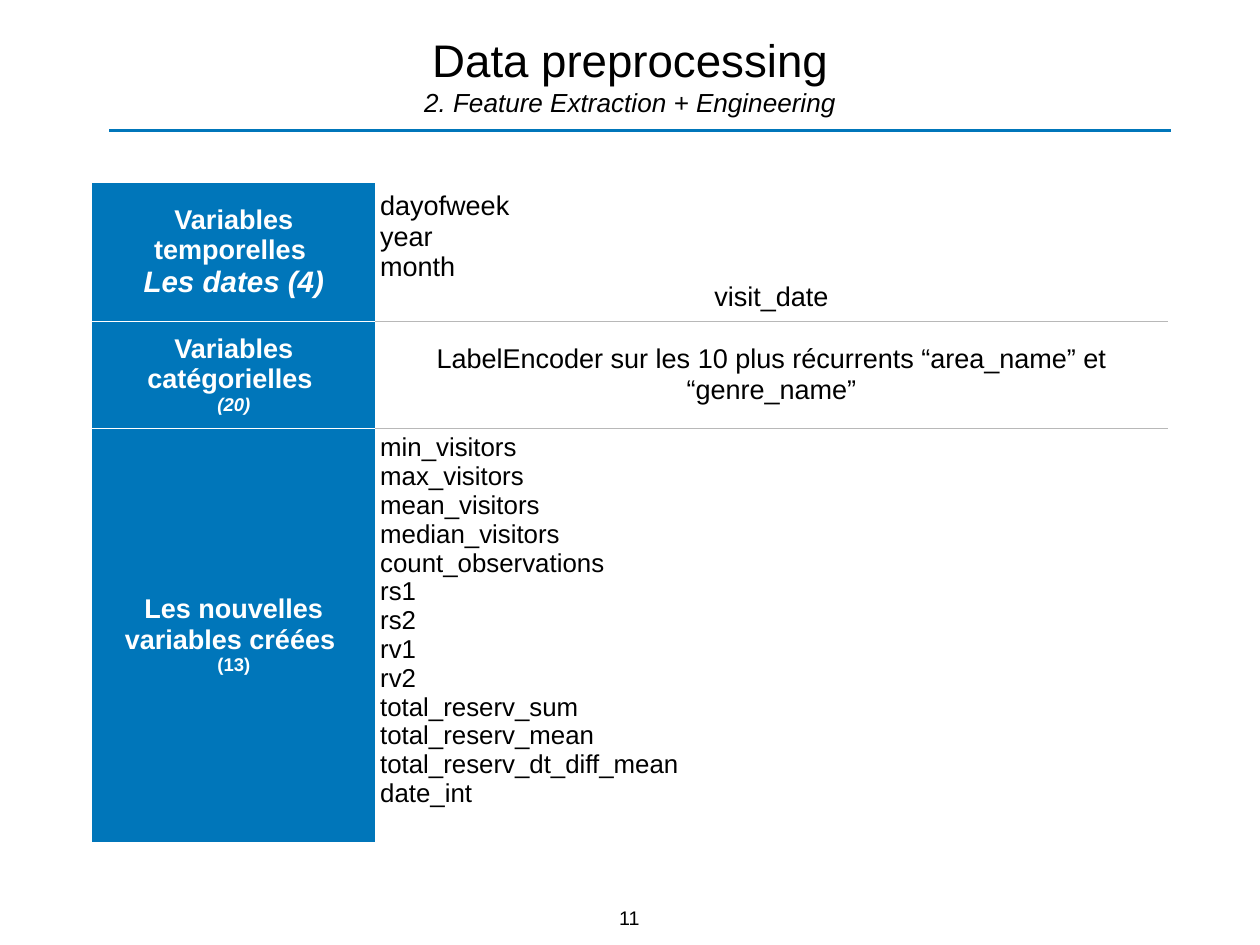
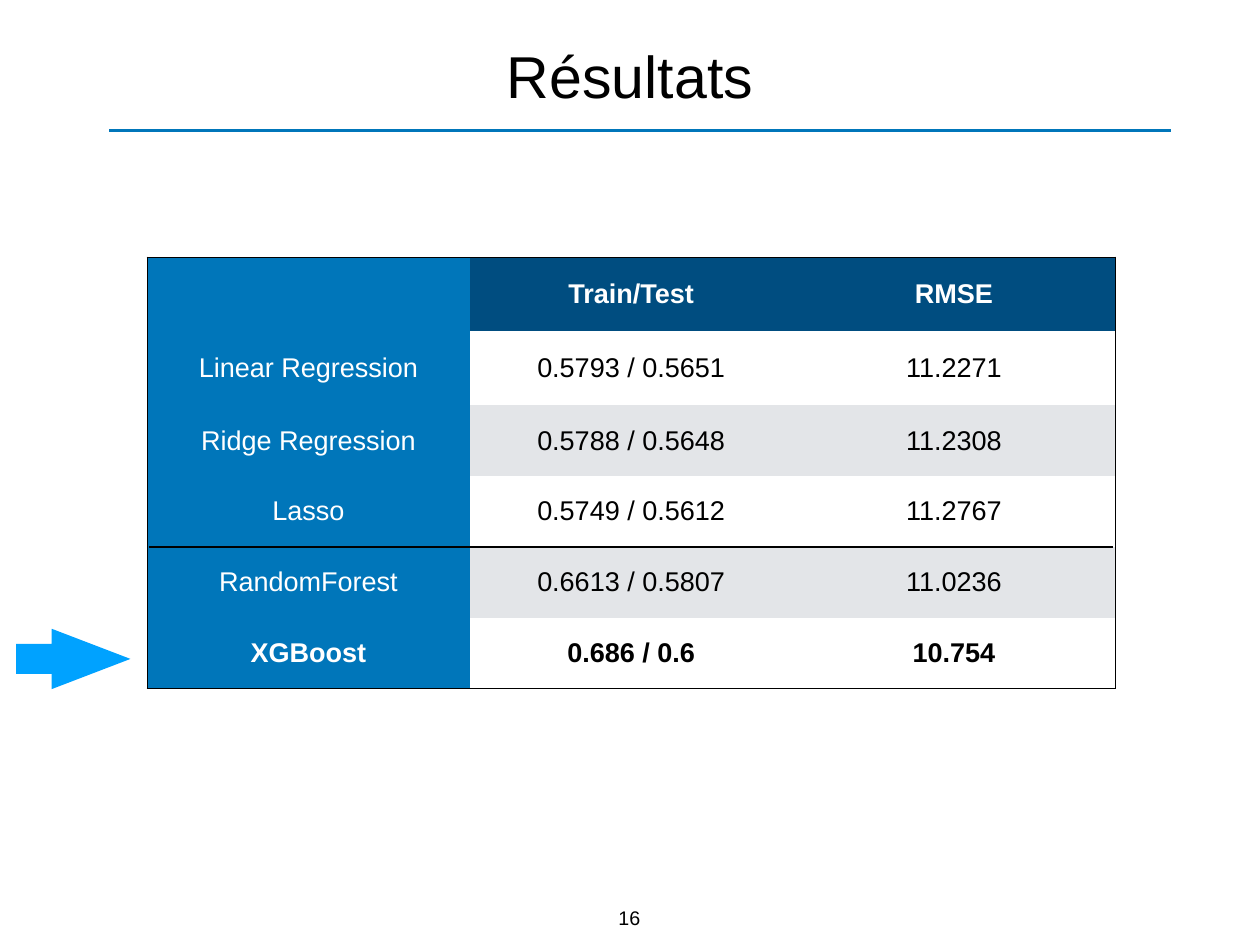
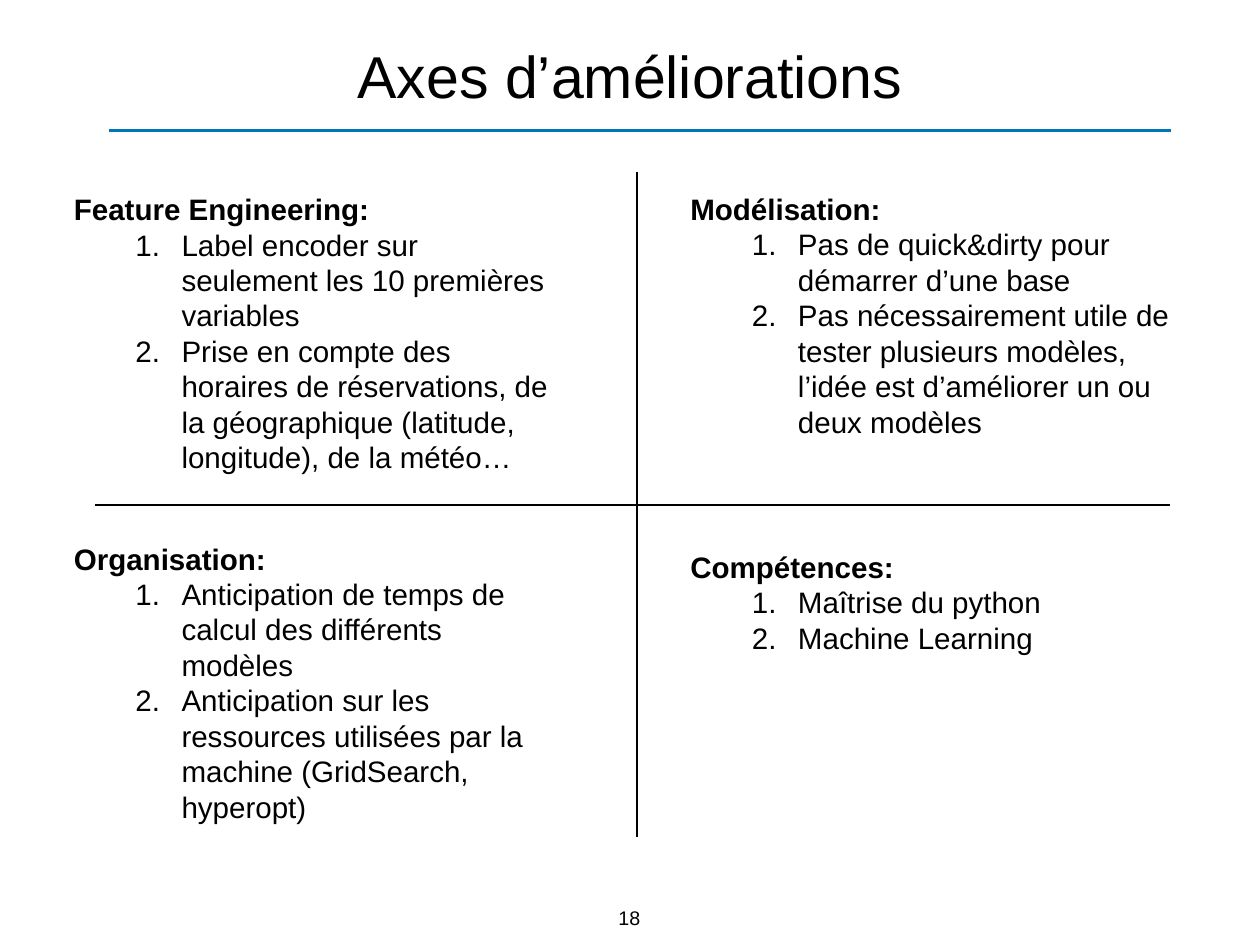
from dataclasses import dataclass

from lxml import etree
from pptx import Presentation
from pptx.dml.color import RGBColor
from pptx.enum.shapes import MSO_CONNECTOR, MSO_SHAPE
from pptx.enum.text import MSO_ANCHOR, MSO_AUTO_SIZE, PP_ALIGN
from pptx.oxml.ns import qn
from pptx.util import Pt

BLACK = RGBColor(0x00, 0x00, 0x00)
WHITE = RGBColor(0xFF, 0xFF, 0xFF)
BLUE = RGBColor(0x00, 0x76, 0xBA)
NAVY = RGBColor(0x00, 0x4D, 0x80)
SKY = RGBColor(0x00, 0xA2, 0xFF)
BAND = RGBColor(0xE3, 0xE5, 0xE8)
RULE = RGBColor(0xB8, 0xB8, 0xB8)

LEFT, CENTER = PP_ALIGN.LEFT, PP_ALIGN.CENTER
MIDDLE, TOP = MSO_ANCHOR.MIDDLE, MSO_ANCHOR.TOP
NO_AUTOFIT = MSO_AUTO_SIZE.NONE
STRAIGHT = MSO_CONNECTOR.STRAIGHT
RIGHT_ARROW = MSO_SHAPE.RIGHT_ARROW

FONT = "Arial"
INSET = Pt(4)
SLIDE_SIZE = (1024, 768)
TITLE_BOX = (75, 20, 874, 81)
NUMBER_BOX = (498, 732, 27, 25)
TITLE_ONLY, COMPARISON = 5, 4
PLAIN_TABLE_STYLE = "{2D5ABB26-0587-4C30-8999-92F81FD0307C}"


@dataclass
class Line:
    text: str
    size: float = 22
    color: RGBColor = BLACK
    bold: bool = False
    italic: bool = False
    align: PP_ALIGN = CENTER


def write_lines(frame, lines):
    """Write one formatted paragraph for each line and return the paragraphs."""
    paras = []
    for index, line in enumerate(lines):
        para = frame.add_paragraph() if index else frame.paragraphs[0]
        para.text = line.text
        para.alignment = line.align
        font = para.font
        font.name, font.size = FONT, Pt(line.size)
        font.bold, font.italic = line.bold, line.italic
        font.color.rgb = line.color
        paras.append(para)
    return paras


def set_frame(frame, anchor=MIDDLE, wrap=True):
    frame.auto_size = NO_AUTOFIT
    frame.word_wrap = wrap
    frame.vertical_anchor = anchor
    frame.margin_left = frame.margin_right = INSET
    frame.margin_top = frame.margin_bottom = INSET


def place(shape, box):
    shape.left, shape.top, shape.width, shape.height = map(Pt, box)


def add_line(page, start, end, color=BLACK):
    line = page.shapes.add_connector(STRAIGHT, *map(Pt, start + end))
    line.line.color.rgb = color
    line.line.width = Pt(2)
    etree.SubElement(line.element.spPr, qn("a:effectLst"))


def add_page(deck, layout, title_lines, number):
    """Add a slide with its title, blue rule and page number."""
    page = deck.slides.add_slide(deck.slide_layouts[layout])
    title = page.shapes.title
    place(title, TITLE_BOX)
    set_frame(title.text_frame)
    write_lines(title.text_frame, title_lines)
    add_line(page, (89, 106), (952, 106), BLUE)
    footer = page.shapes.add_textbox(*map(Pt, NUMBER_BOX))
    set_frame(footer.text_frame, TOP, wrap=False)
    write_lines(footer.text_frame, [Line(str(number), 16)])
    return page


def add_plain_table(page, left, top, widths, heights):
    frame = page.shapes.add_table(
        len(heights), len(widths),
        *map(Pt, (left, top, sum(widths), sum(heights))))
    table = frame.table
    table.first_row = table.horz_banding = False
    for style in frame.element.iter(qn("a:tableStyleId")):
        style.text = PLAIN_TABLE_STYLE
    for column, width in zip(table.columns, widths):
        column.width = Pt(width)
    for row, height in zip(table.rows, heights):
        row.height = Pt(height)
    return table


def fill_cell(cell, lines, fill, borders):
    """Borders maps the sides L, R, T and B to colours."""
    properties = cell._tc.get_or_add_tcPr()
    for side in "LRTB":
        if side in borders:
            edge = etree.SubElement(properties, qn(f"a:ln{side}"), w=str(Pt(1)))
            solid = etree.SubElement(edge, qn("a:solidFill"))
            etree.SubElement(solid, qn("a:srgbClr"), val=str(borders[side]))
    cell.fill.solid()
    cell.fill.fore_color.rgb = fill
    cell.vertical_anchor = MIDDLE
    cell.margin_left = cell.margin_right = INSET
    cell.margin_top = cell.margin_bottom = INSET
    write_lines(cell.text_frame, lines)


def add_feature_table(page, left, top):
    def label(text, note, note_size=15, italic=True):
        return [Line(text, color=WHITE, bold=True),
                Line(note, note_size, WHITE, True, italic)]

    dates = [Line(name, align=LEFT) for name in ("dayofweek", "year", "month")]
    created = (
        "min_visitors", "max_visitors", "mean_visitors", "median_visitors",
        "count_observations", "rs1", "rs2", "rv1", "rv2", "total_reserv_sum",
        "total_reserv_mean", "total_reserv_dt_diff_mean", "date_int")
    rows = [
        (label("Variables temporelles ", "Les dates (4)", 24),
         dates + [Line("visit_date")]),
        (label("Variables catégorielles ", "(20)"),
         [Line("LabelEncoder sur les 10 plus récurrents “area_name” et "
               "“genre_name”")]),
        (label("Les nouvelles variables créées ", "(13)", italic=False),
         [Line(name, 21, align=LEFT) for name in created]),
    ]
    table = add_plain_table(page, left, top, (230, 644), (112.5, 87, 336))
    last = len(rows) - 1
    for r, row in enumerate(rows):
        for c, (fill, rule) in enumerate(((BLUE, WHITE), (WHITE, RULE))):
            borders = {}
            if r > 0:
                borders["T"] = rule
            if r < last:
                borders["B"] = rule
            fill_cell(table.cell(r, c), row[c], fill, borders)
    table.cell(last, 1).margin_bottom = Pt(27)


def add_score_table(page, left, top):
    rows = [
        ("", "Train/Test", "RMSE"),
        ("Linear Regression", "0.5793 / 0.5651", "11.2271"),
        ("Ridge Regression", "0.5788 / 0.5648", "11.2308"),
        ("Lasso", "0.5749 / 0.5612", "11.2767"),
        ("RandomForest", "0.6613 / 0.5807", "11.0236"),
        ("XGBoost", "0.686 / 0.6", "10.754"),
    ]
    widths, heights = [262.3] * 3, [60.2] * 2 + [57.6] * 4
    table = add_plain_table(page, left, top, widths, heights)
    last_row, last_column = len(rows) - 1, len(widths) - 1
    for r, row in enumerate(rows):
        for c, text in enumerate(row):
            if c == 0:
                fill = BLUE
            elif r == 0:
                fill = NAVY
            else:
                fill = WHITE if r % 2 else BAND
            outer = {"L": c == 0, "R": c == last_column,
                     "T": r == 0, "B": r == last_row}
            borders = {side: BLACK for side, shown in outer.items() if shown}
            color = WHITE if r == 0 or c == 0 else BLACK
            line = Line(text, color=color, bold=r in (0, last_row))
            fill_cell(table.cell(r, c), [line], fill, borders)
    separator = top + sum(heights[:4])
    add_line(page, (left + 1.5, separator),
             (left + sum(widths) - 1.5, separator))


def add_pointer(page, box):
    arrow = page.shapes.add_shape(RIGHT_ARROW, *map(Pt, box))
    arrow.adjustments[0], arrow.adjustments[1] = 0.5, 1.305
    arrow.shadow.inherit = False
    arrow.fill.solid()
    arrow.fill.fore_color.rgb = SKY
    arrow.line.fill.background()


def fill_quadrant(holder, box, heading, items):
    """Put a bold heading and a numbered list in a body placeholder."""
    place(holder, box)
    set_frame(holder.text_frame)
    lines = [Line(heading, 24, bold=True, align=LEFT)]
    lines += [Line(item, 24, align=LEFT) for item in items]
    for index, para in enumerate(write_lines(holder.text_frame, lines)):
        para.space_before = Pt(0)
        para.line_spacing = Pt(28.8)
        margin, indent = (87.5, -37.5) if index else (0, 0)
        properties = para._p.get_or_add_pPr()
        properties.set("marL", str(Pt(margin)))
        properties.set("indent", str(Pt(indent)))
        if index:
            bullet = etree.Element(qn("a:buAutoNum"), type="arabicPeriod")
        else:
            bullet = etree.Element(qn("a:buNone"))
        properties.find(qn("a:defRPr")).addprevious(bullet)


def add_features_slide(deck):
    title = [Line("Data preprocessing", 37.1),
             Line("2. Feature Extraction + Engineering", 21.2, italic=True)]
    page = add_page(deck, TITLE_ONLY, title, 11)
    add_feature_table(page, 75, 148.5)


def add_results_slide(deck):
    page = add_page(deck, TITLE_ONLY, [Line("Résultats", 48)], 16)
    add_score_table(page, 119.5, 209)
    add_pointer(page, (13, 511, 93, 49))


def add_improvements_slide(deck):
    page = add_page(deck, COMPARISON, [Line("Axes d’améliorations", 48)], 18)
    left, right, width = 56, 557, 402.5
    quadrants = [
        ((left, 151, width, 239), "Feature Engineering:",
         ["Label encoder sur seulement les 10 premières variables",
          "Prise en compte des horaires de réservations, de la géographique "
          "(latitude, longitude), de la météo…"]),
        ((right, 151, width, 210), "Modélisation:",
         ["Pas de quick&dirty pour démarrer d’une base",
          "Pas nécessairement utile de tester plusieurs modèles, l’idée est "
          "d’améliorer un ou deux modèles"]),
        ((left, 435, width, 239), "Organisation:",
         ["Anticipation de temps de calcul des différents modèles",
          "Anticipation sur les ressources utilisées par la machine "
          "(GridSearch, hyperopt)"]),
        ((right, 442, width, 94.5), "Compétences:",
         ["Maîtrise du python", "Machine Learning"]),
    ]
    bodies = list(page.placeholders)[1:]
    for holder, quadrant in zip(bodies, quadrants):
        fill_quadrant(holder, *quadrant)
    add_line(page, (517.5, 140), (517.5, 680))
    add_line(page, (77, 410.5), (951, 410.5))


def main():
    deck = Presentation()
    deck.slide_width, deck.slide_height = map(Pt, SLIDE_SIZE)
    add_features_slide(deck)
    add_results_slide(deck)
    add_improvements_slide(deck)
    deck.save("out.pptx")


if __name__ == "__main__":
    main()
